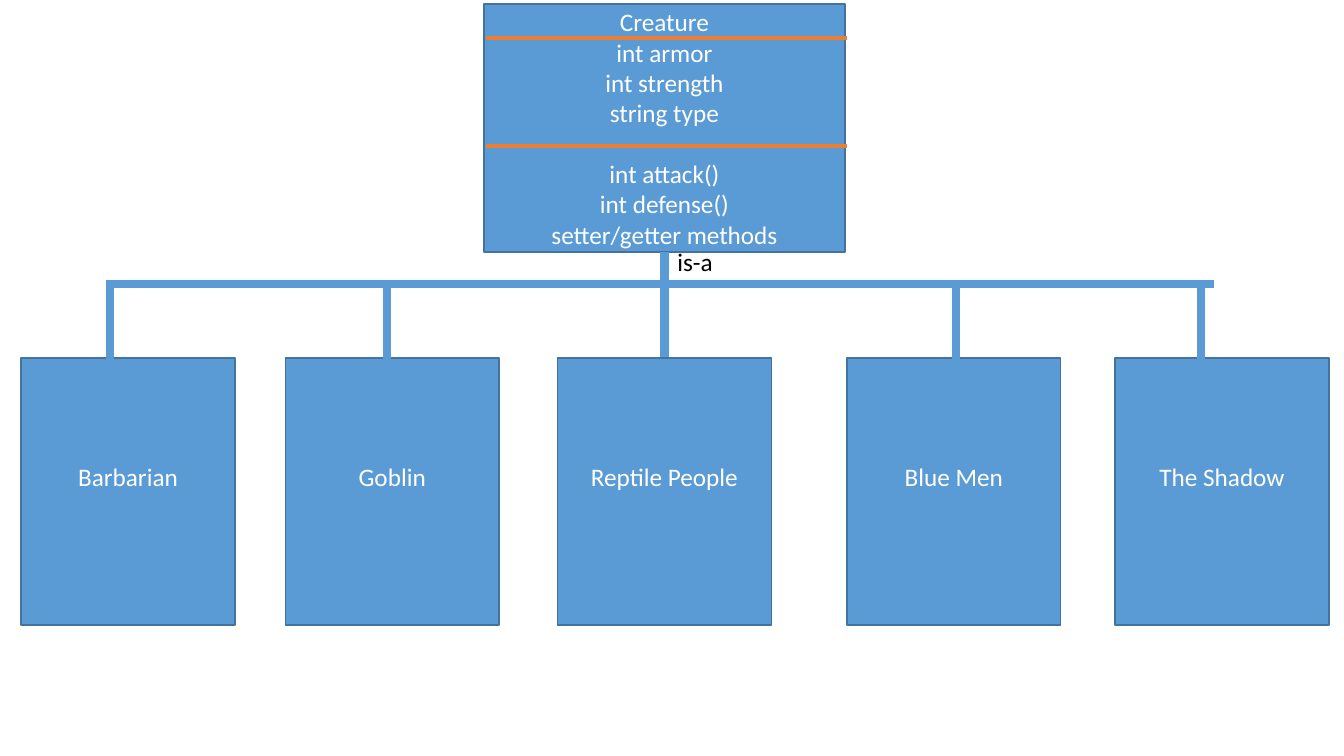
import pptx
import pptx.dml.color
import pptx.enum.shapes
import pptx.enum.text
import pptx.oxml.ns
import pptx.util
from lxml import etree
from pptx.util import Inches

BLUE, DARK_BLUE, ORANGE = "5B9BD5", "43739E", "ED7D31"
WHITE, BLACK = "FFFFFF", "000000"
LINE_HEIGHT = 22


def set_color(color_format, value):
    """Apply a hex colour to a fill, line or font colour."""
    color_format.rgb = pptx.dml.color.RGBColor.from_string(value)


def style_paragraph(paragraph, text, color):
    """Write text into a paragraph with the common font."""
    paragraph.text = text
    paragraph.font.name = "Calibri"
    paragraph.font.size = pptx.util.Pt(18)
    set_color(paragraph.font.color, color)


def add_line(slide, start, end, color, width):
    """Draw a straight line without a shadow."""
    connector = slide.shapes.add_connector(
        pptx.enum.shapes.MSO_CONNECTOR.STRAIGHT,
        *(Inches(value) for value in (*start, *end)))
    set_color(connector.line.color, color)
    connector.line.width = pptx.util.Pt(width)
    etree.SubElement(connector._element.spPr, pptx.oxml.ns.qn("a:effectLst"))


def add_class_box(slide, box, lines):
    """Draw a class box with centred lines and return its text frame."""
    shape = slide.shapes.add_shape(
        pptx.enum.shapes.MSO_SHAPE.FLOWCHART_PROCESS,
        *(Inches(value) for value in box))
    shape.shadow.inherit = False
    shape.fill.solid()
    set_color(shape.fill.fore_color, BLUE)
    set_color(shape.line.color, DARK_BLUE)
    shape.line.width = pptx.util.Pt(1)
    frame = shape.text_frame
    frame.word_wrap = True
    frame.vertical_anchor = pptx.enum.text.MSO_ANCHOR.MIDDLE
    for index, text in enumerate(lines):
        paragraph = frame.add_paragraph() if index else frame.paragraphs[0]
        style_paragraph(paragraph, text, color=WHITE)
        paragraph.alignment = pptx.enum.text.PP_ALIGN.CENTER
    return frame


def add_base_class(slide, box):
    """Draw the base class with its name, fields and methods."""
    left, top, width, height = box
    name, fields = "Creature", ["int armor", "int strength", "string type"]
    methods = ["int attack()", "int defense()", "setter/getter methods"]
    frame = add_class_box(slide, box, [name, *fields, *methods])
    first_method = frame.paragraphs[1 + len(fields)]
    first_method.space_before = pptx.util.Pt(LINE_HEIGHT)
    for offset in (0.34, 1.41):
        add_line(slide, (left + 0.02, top + offset),
                 (left + width + 0.02, top + offset), ORANGE, 3)


def add_relation_label(slide, box):
    """Write the inheritance label beside the trunk."""
    label = slide.shapes.add_textbox(*(Inches(value) for value in box))
    label.text_frame.word_wrap = True
    style_paragraph(label.text_frame.paragraphs[0], "is-a", BLACK)


def add_subclasses(slide, top, width, height, subclasses):
    """Draw the row of subclass boxes, with names raised half a line."""
    for name, left in subclasses:
        frame = add_class_box(slide, (left, top, width, height), [name])
        frame.margin_bottom = frame.margin_top + pptx.util.Pt(LINE_HEIGHT)


def add_branches(slide, left, right, level, stems, bottom):
    """Draw the horizontal bar and the stems down to the subclasses."""
    add_line(slide, (left, level), (right, level), BLUE, 6)
    for stem in stems:
        add_line(slide, (stem, level - 0.04), (stem, bottom), BLUE, 6)


def build_slide(presentation):
    """Build the class hierarchy slide."""
    slide = presentation.slides.add_slide(presentation.slide_layouts[6])
    add_base_class(slide, (4.8, 0.04, 3.58, 2.46))
    add_line(slide, (6.59, 2.5), (6.59, 3.66), BLUE, 6)
    add_relation_label(slide, (6.62, 2.39, 1.47, 0.4))
    add_subclasses(slide, 3.55, 2.12, 2.65, [
        ("Barbarian", 0.21), ("Goblin", 2.83), ("Reptile People", 5.53),
        ("Blue Men", 8.4), ("The Shadow", 11.06)])
    add_branches(slide, 1.1, 12.04, 2.82, (1.09, 3.84, 9.48, 11.91), 3.86)


presentation = pptx.Presentation()
presentation.slide_width = Inches(13.33)
presentation.slide_height = Inches(7.5)
build_slide(presentation)
presentation.save("out.pptx")
